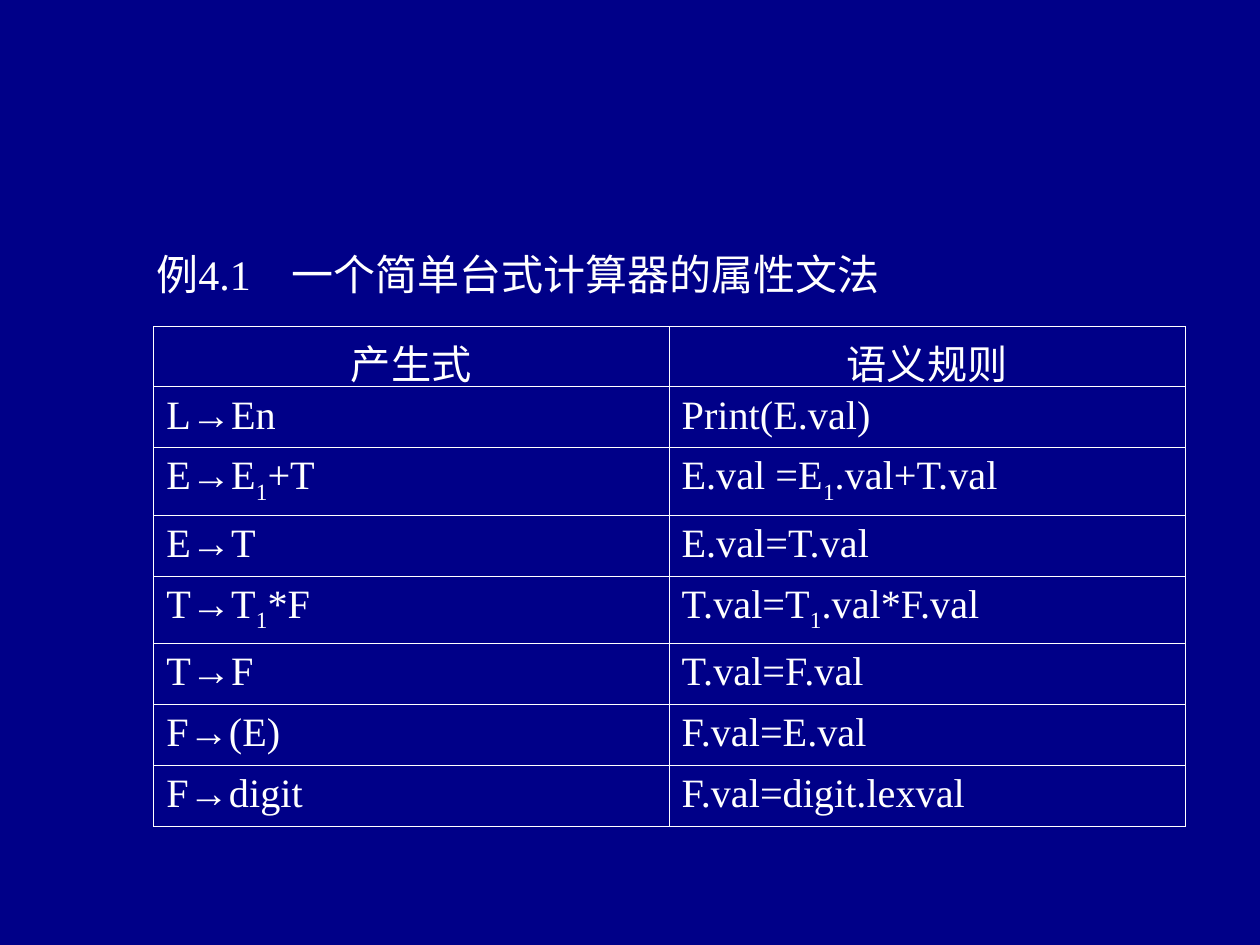
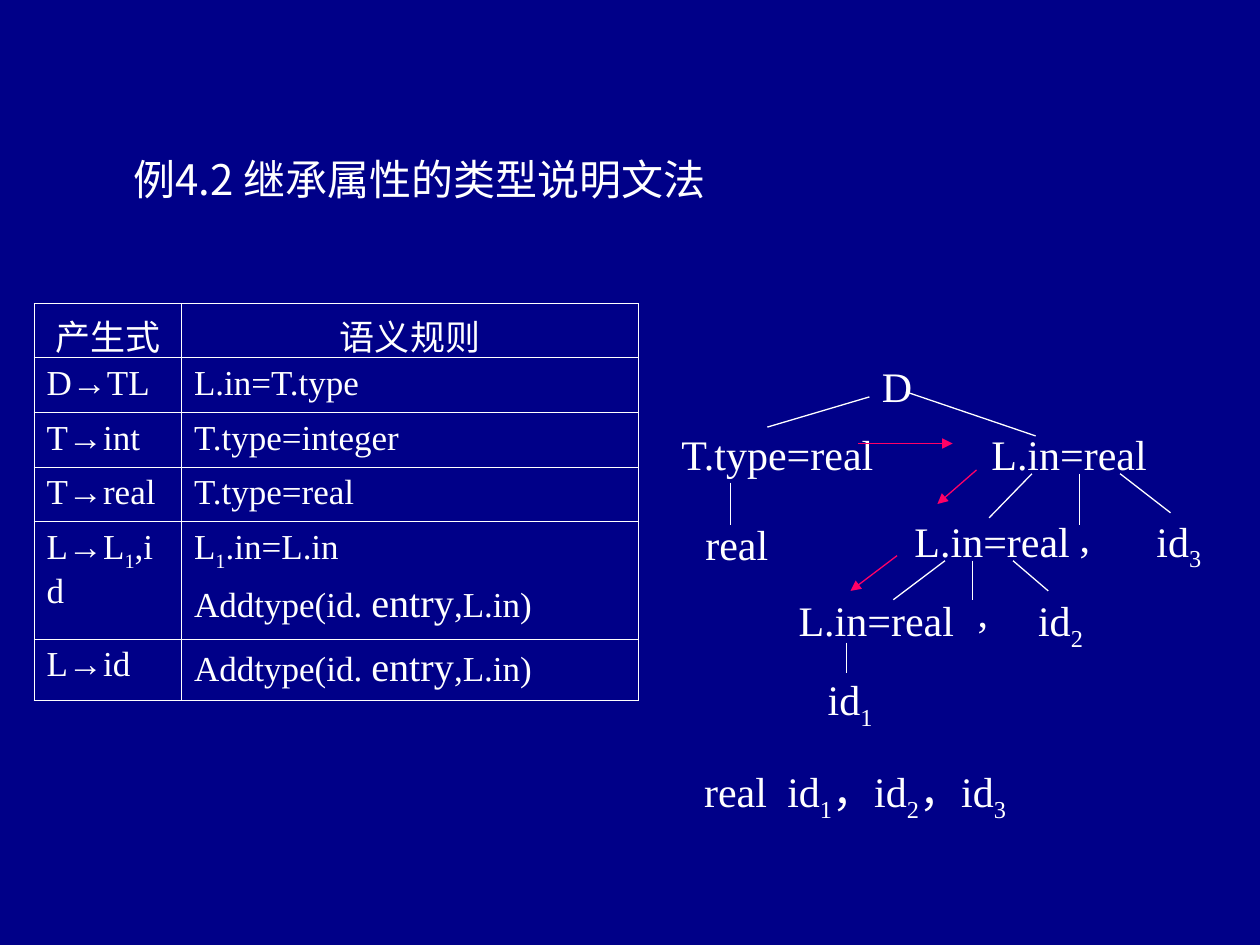
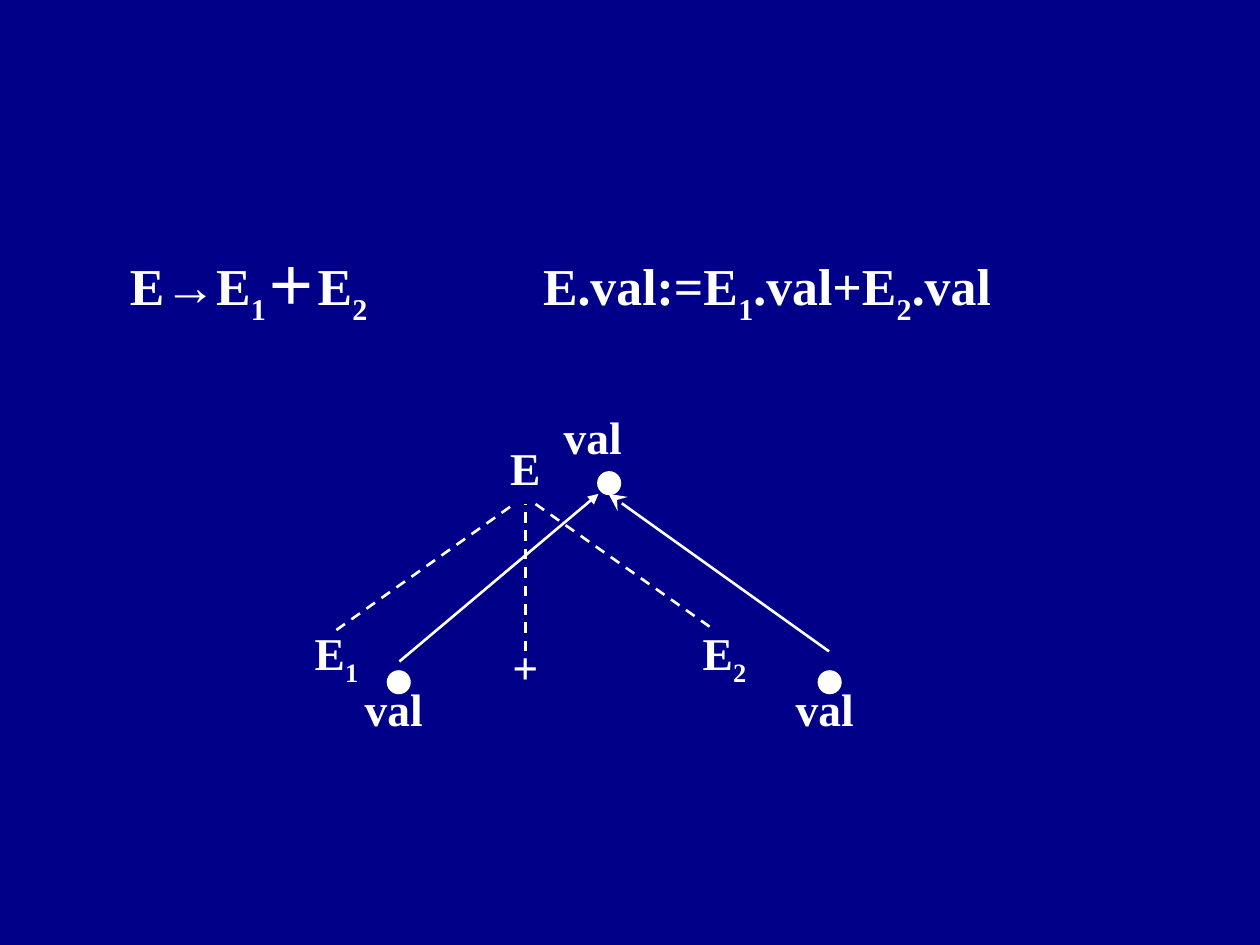
from lxml import etree
from pptx import Presentation
from pptx.dml.color import RGBColor
from pptx.enum.dml import MSO_LINE
from pptx.enum.shapes import MSO_CONNECTOR, MSO_SHAPE
from pptx.enum.text import MSO_ANCHOR, MSO_AUTO_SIZE, PP_ALIGN
from pptx.oxml.ns import qn
from pptx.util import Emu, Inches, Pt

NAVY = RGBColor(0x00, 0x00, 0x88)
WHITE = RGBColor(0xFF, 0xFF, 0xFF)
PINK = RGBColor(0xFF, 0x00, 0x66)
SERIF, SANS = "Times New Roman", "Noto Sans CJK SC"
LEFT, CENTER = PP_ALIGN.LEFT, PP_ALIGN.CENTER
TOP, MIDDLE = MSO_ANCHOR.TOP, MSO_ANCHOR.MIDDLE
FIT_SHAPE, NO_FIT = MSO_AUTO_SIZE.SHAPE_TO_FIT_TEXT, MSO_AUTO_SIZE.NONE
STRAIGHT, OVAL, DASH = MSO_CONNECTOR.STRAIGHT, MSO_SHAPE.OVAL, MSO_LINE.DASH
TITLE_ONLY = 5
BORDER_WIDTH = Pt(0.45)
BIG_SIZE = 23

# In all text, "_" lowers the next character and "|" encloses a larger word.
HEADER = ("产生式", "语义规则")
CALCULATOR_RULES = [
    HEADER,
    ("L→En", "Print(E.val)"),
    ("E→E_1+T", "E.val =E_1.val+T.val"),
    ("E→T", "E.val=T.val"),
    ("T→T_1*F", "T.val=T_1.val*F.val"),
    ("T→F", "T.val=F.val"),
    ("F→(E)", "F.val=E.val"),
    ("F→digit", "F.val=digit.lexval"),
]
CALCULATOR_HEIGHTS = [0.53 if "_" in left else 0.48 for left, _ in CALCULATOR_RULES]

ADD_TYPE = "Addtype(id. |entry|,L.in)"
TYPE_RULES = [
    HEADER,
    ("D→TL", "L.in=T.type"),
    ("T→int", "T.type=integer"),
    ("T→real", "T.type=real"),
    ("L→L_1,id", "L_1.in=L.in\n" + ADD_TYPE),
    ("L→id", ADD_TYPE),
]
TYPE_HEIGHTS = [0.43] * 4 + [0.93, 0.48]

# Text, left, top, width
TYPE_NODES = [
    ("D", 6.9, 2.81, 0.35),
    ("T.type=real", 5.31, 3.35, 1.75),
    ("real", 5.5, 4.07, 0.7),
    ("L.in=real", 7.77, 3.35, 1.43),
    ("L.in=real", 7.16, 4.04, 1.43),
    (",", 8.47, 4.0, 0.28),
    ("id_3", 9.08, 4.04, 0.55),
    ("L.in=real", 6.24, 4.67, 1.43),
    (",", 7.66, 4.6, 0.28),
    ("id_2", 8.14, 4.67, 0.55),
    ("id_1", 6.47, 5.3, 0.55),
]
# Start x, start y, end x, end y
TYPE_BRANCHES = [
    (6.9, 3.15, 6.09, 3.39),
    (5.8, 3.83, 5.8, 4.17),
    (7.19, 3.11, 8.22, 3.46),
    (8.19, 3.76, 7.85, 4.11),
    (8.57, 3.76, 8.57, 4.17),
    (8.89, 3.76, 9.29, 4.07),
    (7.5, 4.45, 7.09, 4.76),
    (7.72, 4.45, 7.72, 4.76),
    (8.04, 4.45, 8.32, 4.69),
    (6.72, 5.1, 6.72, 5.34),
]
TYPE_FLOWS = [
    (6.81, 3.52, 7.56, 3.52),
    (7.75, 3.73, 7.44, 4.0),
    (7.12, 4.41, 6.75, 4.69),
]

SUM_NODES = [
    ("E_1", 1.42, 4.92, 2.5),
    ("+", 3.67, 5.0, 1.0),
    ("E_2", 4.5, 4.92, 2.5),
    ("E", 3.17, 3.42, 2.0),
    ("val", 4.33, 3.17, 0.75),
    ("val", 2.75, 5.33, 0.75),
    ("val", 6.17, 5.33, 0.75),
]
SUM_BRANCHES = [
    (2.67, 5.0, 4.08, 4.0),
    (4.17, 5.17, 4.17, 4.0),
    (4.25, 4.0, 5.67, 5.0),
]
# Ends, arrowhead shape, arrowhead size
SUM_FLOWS = [
    ((3.17, 5.25, 4.75, 3.92), "triangle", "med"),
    ((6.58, 5.17, 4.83, 3.92), "stealth", "lg"),
]
SUM_DOTS = [(3.08, 5.33), (6.5, 5.33), (4.75, 3.75)]
DOT_SIZE = 0.17


def add_span(para, text, size, font, bold, drop=0):
    span = para.add_run()
    span.text = text
    span.font.size = Pt(size)
    span.font.name = font
    span.font.bold = bold
    span.font.color.rgb = WHITE
    properties = span._r.get_or_add_rPr()
    etree.SubElement(properties, qn("a:ea"), typeface=SANS)
    if drop:
        properties.set("baseline", str(-1000 * drop))


def write(frame, text, size, font=SERIF, bold=False, align=LEFT, drop=25, gap=0, tab=None):
    """Fill a text frame with marked-up lines; drop is the subscript shift in percent."""
    for number, line in enumerate(text.split("\n")):
        para = frame.add_paragraph() if number else frame.paragraphs[0]
        para.alignment = align
        if number:
            para.space_before = Pt(gap)
        if tab:
            stops = etree.SubElement(para._p.get_or_add_pPr(), qn("a:tabLst"))
            etree.SubElement(stops, qn("a:tab"), pos=str(Inches(tab)), algn="l")
        for index, part in enumerate(line.split("|")):
            part_size = BIG_SIZE if index % 2 else size
            first, *lowered = part.split("_")
            if first:
                add_span(para, first, part_size, font, bold)
            for piece in lowered:
                add_span(para, piece[0], part_size, font, bold, drop)
                if piece[1:]:
                    add_span(para, piece[1:], part_size, font, bold)


def add_titled_slide(deck, text, place, size=24, fit=FIT_SHAPE, inset=0.1, **style):
    slide = deck.slides.add_slide(deck.slide_layouts[TITLE_ONLY])
    title = slide.shapes.title
    title.left, title.top, title.width, title.height = map(Inches, place)
    frame = title.text_frame
    frame.vertical_anchor = TOP
    frame.word_wrap = True
    frame.auto_size = fit
    frame.margin_left = Inches(inset)
    write(frame, text, size, **style)
    return slide


def add_label(slide, text, left, top, width, height=0.5, size=24, anchor=TOP,
              align=LEFT, **style):
    box = slide.shapes.add_textbox(*map(Inches, (left, top, width, height)))
    frame = box.text_frame
    frame.word_wrap = True
    frame.vertical_anchor = anchor
    if align == LEFT:
        frame.margin_right = Emu(0)
    write(frame, text, size, align=align, **style)


def add_line(slide, ends, color=WHITE, width=0.75, dash=None, head=None, head_size="med"):
    line = slide.shapes.add_connector(STRAIGHT, *map(Inches, ends))
    line.line.color.rgb = color
    line.line.width = Pt(width)
    if dash:
        line.line.dash_style = dash
    if head:
        etree.SubElement(line.line._get_or_add_ln(), qn("a:tailEnd"),
                         type=head, w=head_size, len=head_size)
    etree.SubElement(line._element.spPr, qn("a:effectLst"))


def add_borders(cell):
    properties = cell._tc.get_or_add_tcPr()
    for index, side in enumerate(("lnL", "lnR", "lnT", "lnB")):
        border = etree.Element(qn("a:" + side), w=str(BORDER_WIDTH))
        fill = etree.SubElement(border, qn("a:solidFill"))
        etree.SubElement(fill, qn("a:srgbClr"), val=str(WHITE))
        properties.insert(index, border)


def add_rules(slide, rules, left, top, widths, heights, size):
    frame = slide.shapes.add_table(
        len(rules), len(widths), Inches(left), Inches(top),
        Inches(sum(widths)), Inches(sum(heights)))
    table = frame.table
    table.first_row = table.horz_banding = False
    for column, width in zip(table.columns, widths):
        column.width = Inches(width)
    for row, height, texts in zip(table.rows, heights, rules):
        row.height = Inches(height)
        is_header = texts is HEADER
        for cell, text in zip(row.cells, texts):
            cell.fill.background()
            add_borders(cell)
            if is_header:
                cell.margin_bottom = Emu(0)
            write(cell.text_frame, text, size, align=CENTER if is_header else LEFT, gap=5)


def build_calculator(deck):
    slide = add_titled_slide(deck, "例4.1\t一个简单台式计算器的属性文法",
                             (1.14, 1.92, 6.13, 0.5), tab=1.07)
    add_rules(slide, CALCULATOR_RULES, 1.22, 2.59, (4.09, 4.1), CALCULATOR_HEIGHTS, 23)


def build_type_declaration(deck):
    slide = add_titled_slide(deck, "例4.2 继承属性的类型说明文法",
                             (0.96, 1.17, 5.13, 0.5), font=SANS)
    add_rules(slide, TYPE_RULES, 0.27, 2.41, (1.17, 3.63), TYPE_HEIGHTS, 20)
    add_label(slide, "real\tid_1，id_2，id_3", 5.49, 6.03, 2.92, 0.56, tab=0.66)
    for node in TYPE_NODES:
        add_label(slide, *node)
    for ends in TYPE_BRANCHES:
        add_line(slide, ends)
    for ends in TYPE_FLOWS:
        add_line(slide, ends, PINK, head="triangle")


def build_sum(deck):
    slide = add_titled_slide(deck, "E→E_1＋E_2\tE.val:=E_1.val+E_2.val",
                             (0.83, 2, 8.75, 0.58), size=29.6, fit=NO_FIT, inset=0.2,
                             bold=True, drop=30, tab=3.28)
    slide.shapes.title.text_frame.paragraphs[0].line_spacing = 0.8
    for node in SUM_NODES:
        add_label(slide, *node, height=0.58, size=26, anchor=MIDDLE, bold=True, align=CENTER)
    for ends in SUM_BRANCHES:
        add_line(slide, ends, width=1.5, dash=DASH)
    for ends, head, head_size in SUM_FLOWS:
        add_line(slide, ends, width=1.5, head=head, head_size=head_size)
    for left, top in SUM_DOTS:
        dot = slide.shapes.add_shape(OVAL, *map(Inches, (left, top, DOT_SIZE, DOT_SIZE)))
        dot.shadow.inherit = False
        dot.fill.solid()
        dot.fill.fore_color.rgb = WHITE
        dot.line.color.rgb = WHITE
        dot.line.width = Pt(1.5)


def main():
    deck = Presentation()
    deck.slide_width, deck.slide_height = Inches(10), Inches(7.5)
    background = deck.slide_master.background.fill
    background.solid()
    background.fore_color.rgb = NAVY
    build_calculator(deck)
    build_type_declaration(deck)
    build_sum(deck)
    deck.save("out.pptx")


if __name__ == "__main__":
    main()
